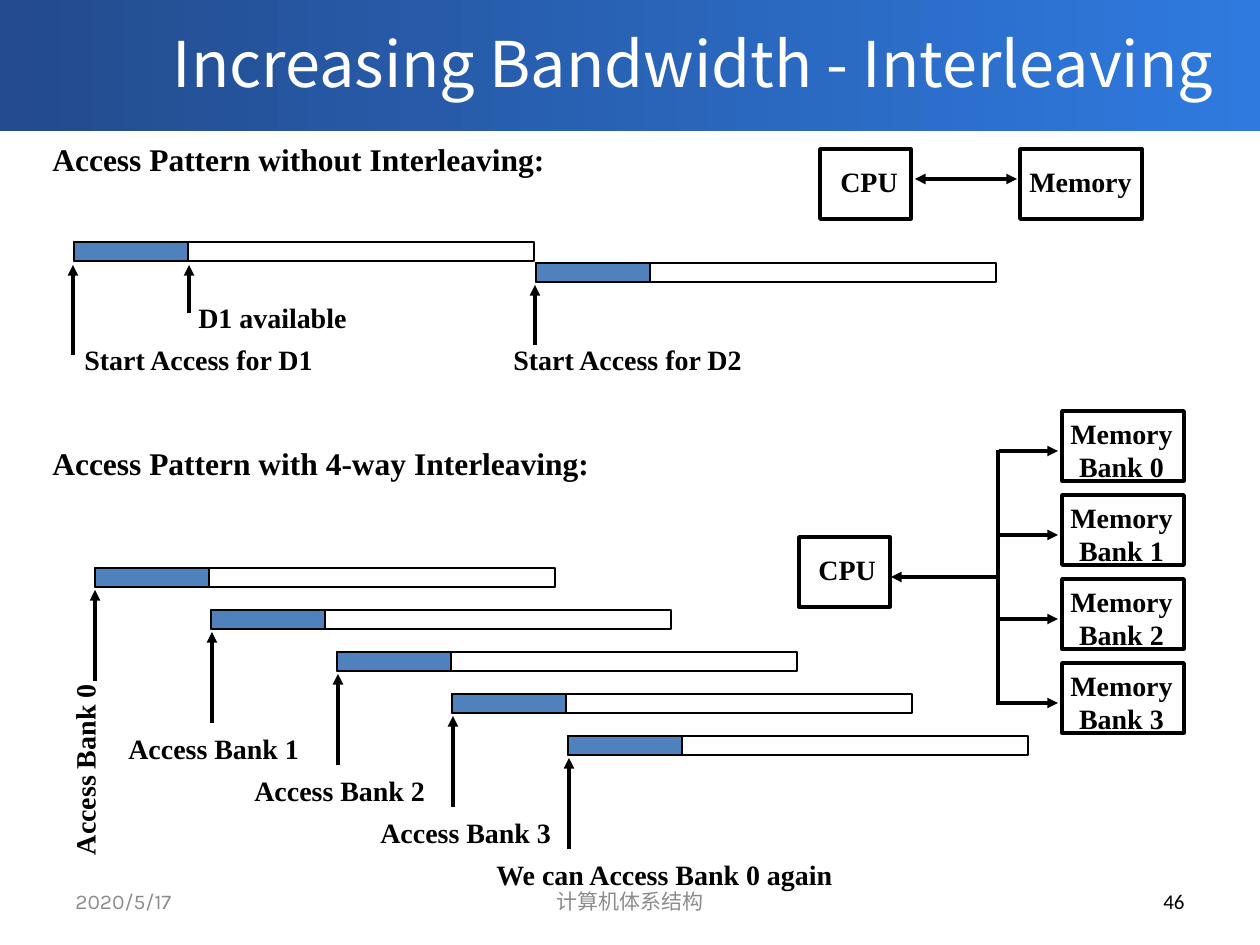
from lxml import etree
from pptx import Presentation, util as u
from pptx.dml.color import RGBColor
from pptx.enum import shapes, text
from pptx.oxml.ns import qn

PX = u.Inches(1) / 126
COLORS = {"ink": "000000", "busy": "4F81BD", "title": "FFFFFF", "muted": "8C8C8C",
          "header_left": "234B8D", "header_right": "2F7ADF"}
LEFT, CENTER, RIGHT = text.PP_ALIGN.LEFT, text.PP_ALIGN.CENTER, text.PP_ALIGN.RIGHT

deck = Presentation()
deck.slide_width, deck.slide_height = u.Inches(10), u.Inches(7.5)
slide = deck.slides.add_slide(deck.slide_layouts[6])


def emu(*lengths):
    return [round(length * PX) for length in lengths]


def write(words, x, y, w, h, size=16, font="Times New Roman", color="ink", bold=True,
          align=LEFT, wrap=False, anchor=text.MSO_ANCHOR.TOP, rotation=0):
    label = slide.shapes.add_textbox(*emu(x, y, w, h))
    label.rotation = rotation
    frame = label.text_frame
    frame.word_wrap = wrap
    frame.auto_size = text.MSO_AUTO_SIZE.NONE if wrap else text.MSO_AUTO_SIZE.SHAPE_TO_FIT_TEXT
    frame.vertical_anchor = anchor
    frame.text = words
    for paragraph in frame.paragraphs:
        paragraph.alignment = align
        run = paragraph.runs[0]
        run.font.size, run.font.name, run.font.bold = u.Pt(size), font, bold
        run.font.color.rgb = RGBColor.from_string(COLORS[color])
        # East Asian characters use the same face
        etree.SubElement(run.font._element, qn("a:ea")).set("typeface", font)


# Header band and title
header = slide.shapes.add_shape(shapes.MSO_SHAPE.RECTANGLE, *emu(0, -4, 1260, 135))
header.shadow.inherit = False
header.line.fill.background()
header.fill.gradient()
header.fill.gradient_angle = 0
for stop, place, name in zip(header.fill.gradient_stops, (0, 1), ("header_left", "header_right")):
    stop.position = place
    stop.color.rgb = RGBColor.from_string(COLORS[name])
write("Increasing Bandwidth - Interleaving", 126, 0, 1134, 125, size=36, font="Noto Sans CJK SC",
      color="title", bold=False, align=CENTER, wrap=True, anchor=text.MSO_ANCHOR.MIDDLE)

# Rectangles: parent, x, y, width, height, fill, line width
boxes = [(slide, 820, 149, 91, 70, None, 2), (slide, 1020, 149, 122, 70, None, 2),
         (slide, 799, 537, 91, 70, None, 2)]
# Arrows: from, to, arrowheads
arrows = [((73, 265), (73, 355), ["headEnd"]), ((189, 265), (189, 313), ["headEnd"]),
          ((535, 285), (535, 345), ["headEnd"]),
          ((915, 179), (1017, 179), ["headEnd", "tailEnd"]),
          ((998, 705), (998, 450), []), ((999, 577), (891, 577), ["tailEnd"])]

# Memory accesses, each a busy part inside the full cycle
STEP = 42
accesses = [(74, 242), (536, 263)]
starts = [95, 211, 337, 452, 568]
for i, x in enumerate(starts):
    accesses.append((x, 568 + STEP * i))
    tip = x + (1 if i else 0)
    arrows.append(((tip, 590 + STEP * i), (tip, 681 + STEP * i), ["headEnd"]))
for x, y in accesses:
    cycle = slide.shapes.add_group_shape()
    boxes += [(cycle, x, y, 114, 19, "busy", 1), (cycle, x, y, 460, 19, None, 1)]

# Memory banks
BANK_STEP = 84
for bank in range(4):
    y = 411 + BANK_STEP * bank
    boxes.append((slide, 1062, y, 122, 70, None, 2))
    arrows.append(((999, y + 40), (1058, y + 40), ["tailEnd"]))
    write(f"Memory\nBank {bank}", 1057, y - 1, 129, 81, align=CENTER)

for parent, x, y, w, h, fill, weight in boxes:
    box = parent.shapes.add_shape(shapes.MSO_SHAPE.RECTANGLE, *emu(x, y, w, h))
    box.shadow.inherit = False
    box.line.width = u.Pt(weight)
    box.line.color.rgb = RGBColor.from_string(COLORS["ink"])
    if fill:
        box.fill.solid()
        box.fill.fore_color.rgb = RGBColor.from_string(COLORS[fill])
    else:
        box.fill.background()

for start, end, heads in arrows:
    arrow = slide.shapes.add_connector(shapes.MSO_CONNECTOR.STRAIGHT, *emu(*start, *end))
    arrow.line.width = u.Pt(2)
    arrow.line.color.rgb = RGBColor.from_string(COLORS["ink"])
    for head in heads:
        etree.SubElement(arrow.line._get_or_add_ln(), qn(f"a:{head}")).set("type", "triangle")
    etree.SubElement(arrow._element.spPr, qn("a:effectLst"))

# Headings
write("Access Pattern without Interleaving:", 40, 134, 523, 50, size=18)
write("Access Pattern with 4-way Interleaving:", 40, 438, 568, 50, size=18)

# Labels of the parts and the access times
write("CPU", 828, 158, 83, 47)
write("Memory", 1017, 158, 129, 47)
write("CPU", 806, 546, 83, 47)
write("D1 available", 186, 294, 175, 47)
write("Start Access for D1", 72, 336, 257, 47)
write("Start Access for D2", 501, 336, 257, 47)
write("Access Bank 0", -14, 745, 198, 47, rotation=270)
for i, x in enumerate((116, 242, 368)):
    write(f"Access Bank {i + 1}", x, 725 + STEP * i, 198, 47)
write("We can Access Bank 0 again", 484, 851, 365, 47)

# Footer
for words, x, w, align, font, color in (
        ("2020/5/17", 63, 294, LEFT, "Karla", "muted"),
        ("计算机体系结构", 431, 399, CENTER, "Karla", "muted"),
        ("46", 903, 294, RIGHT, "Calibri", "ink")):
    write(words, x, 876, w, 50, size=12, font=font, color=color, bold=False,
          align=align, wrap=True, anchor=text.MSO_ANCHOR.MIDDLE)

deck.save("out.pptx")
